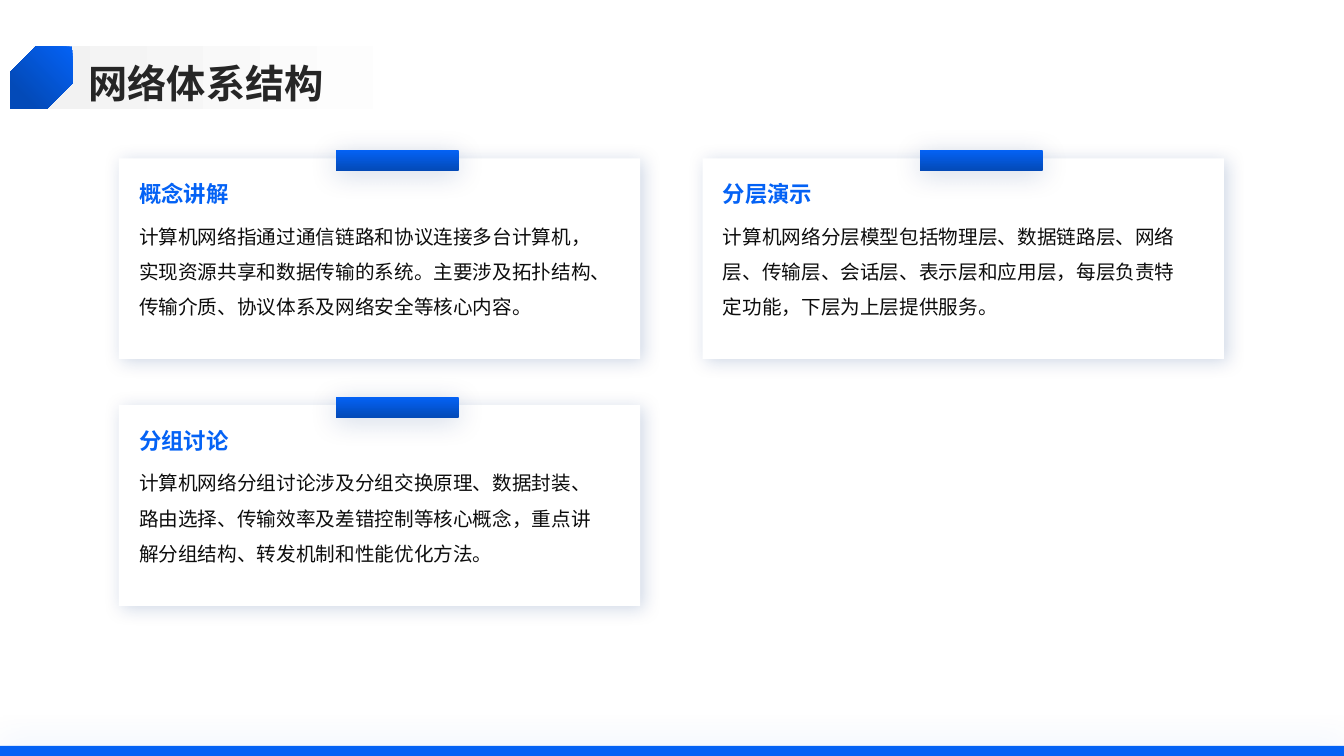
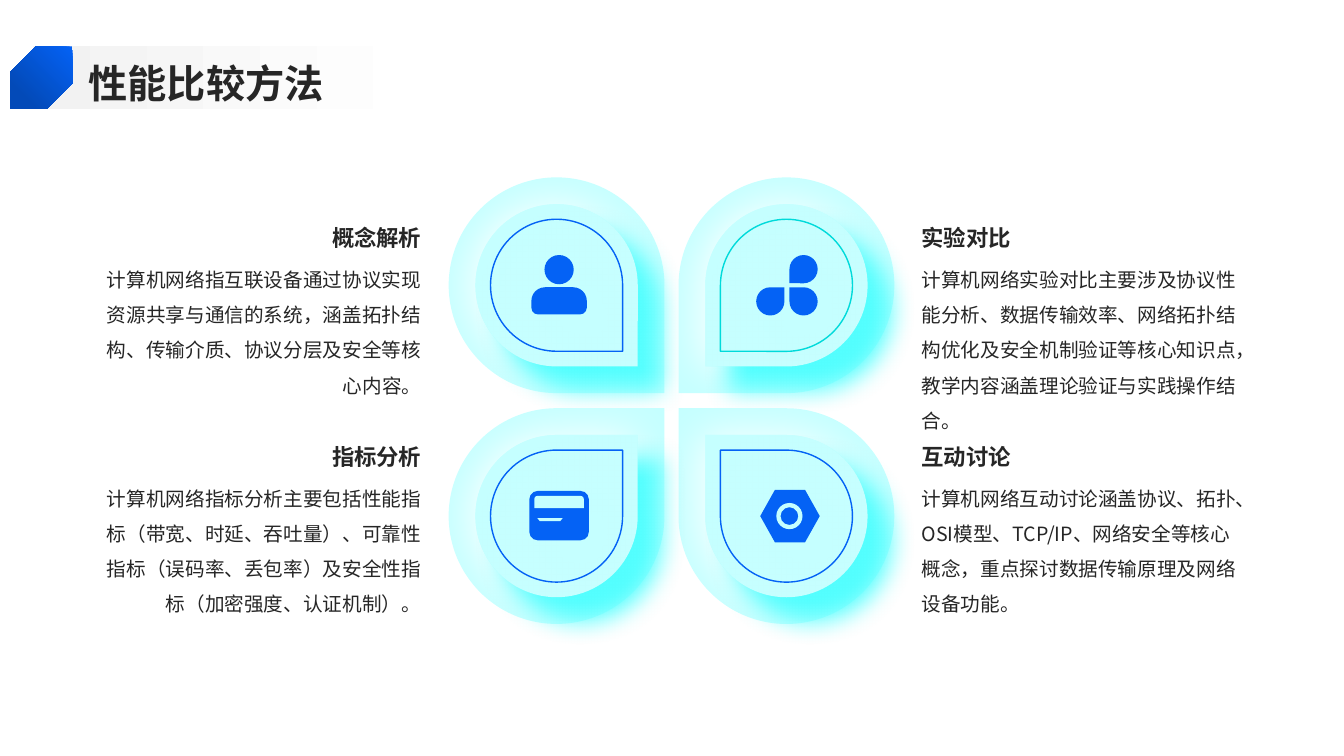
from lxml import etree
from pptx import Presentation
from pptx.dml.color import RGBColor
from pptx.enum.shapes import MSO_SHAPE
from pptx.enum.text import MSO_ANCHOR, MSO_AUTO_SIZE, PP_ALIGN
from pptx.oxml.ns import qn
from pptx.util import Inches, Pt

RECTANGLE = MSO_SHAPE.RECTANGLE
SNIPPED = MSO_SHAPE.SNIP_2_DIAG_RECTANGLE
TEARDROP = MSO_SHAPE.TEAR
OVAL = MSO_SHAPE.OVAL
ROUND_TOP = MSO_SHAPE.ROUND_2_SAME_RECTANGLE
ROUNDED = MSO_SHAPE.ROUNDED_RECTANGLE
TRAPEZOID = MSO_SHAPE.TRAPEZOID
HEXAGON = MSO_SHAPE.HEXAGON
DONUT = MSO_SHAPE.DONUT
LEFT, RIGHT = PP_ALIGN.LEFT, PP_ALIGN.RIGHT
TOP, MIDDLE, BOTTOM = MSO_ANCHOR.TOP, MSO_ANCHOR.MIDDLE, MSO_ANCHOR.BOTTOM

BLUE = RGBColor(0x04, 0x62, 0xF5)
DARK_BLUE = RGBColor(0x03, 0x4A, 0xB8)
NAVY = RGBColor(0x02, 0x31, 0x7B)
WHITE = RGBColor(0xFF, 0xFF, 0xFF)
PALE_GRAY = RGBColor(0xF2, 0xF2, 0xF2)
CYAN = RGBColor(0xC5, 0xFF, 0xFF)
BRIGHT_CYAN = RGBColor(0x50, 0xFF, 0xFF)
TEAL = RGBColor(0x00, 0xDA, 0xDA)
INK = RGBColor(0x26, 0x26, 0x26)
BLACK = RGBColor(0x0D, 0x0D, 0x0D)
FONT = "Noto Sans CJK SC"


def add_shape(slide, geometry, box, fill=None, gradient=None, line=None,
              shadow=None, rotation=0, adjustments=()):
    shape = slide.shapes.add_shape(geometry, *map(Inches, box))
    shape.rotation = rotation
    for index, value in enumerate(adjustments):
        shape.adjustments[index] = value
    if gradient:
        start, end, end_position, angle = gradient
        shape.fill.gradient()
        shape.fill.gradient_angle = angle
        stops = shape.fill.gradient_stops
        for stop, color, position in zip(stops, (start, end), (0, end_position)):
            stop.color.rgb = color
            stop.position = position
    elif fill is not None:
        shape.fill.solid()
        shape.fill.fore_color.rgb = fill
    else:
        shape.fill.background()
    if line is None:
        shape.line.fill.background()
    else:
        shape.line.color.rgb = line
        shape.line.width = Pt(1)
    shape.shadow.inherit = False
    if shadow:
        color, alpha, blur, distance, direction = shadow
        effects = shape.element.spPr.find(qn("a:effectLst"))
        outer = etree.SubElement(
            effects, qn("a:outerShdw"), blurRad=str(Pt(blur)),
            dist=str(Pt(distance)), dir=str(direction * 60000),
            algn="ctr", rotWithShape="0")
        tint = etree.SubElement(outer, qn("a:srgbClr"), val=str(color))
        etree.SubElement(tint, qn("a:alpha"), val=str(alpha * 1000))


def write_text(shape, box, text, size, color, bold=False, name=FONT,
               spacing=1.0, alignment=LEFT, anchor=TOP):
    shape.left, shape.top, shape.width, shape.height = map(Inches, box)
    frame = shape.text_frame
    frame_format = {"word_wrap": True, "auto_size": MSO_AUTO_SIZE.NONE,
                    "vertical_anchor": anchor, "margin_left": 0, "margin_right": 0,
                    "margin_top": 0, "margin_bottom": 0}
    for key, value in frame_format.items():
        setattr(frame, key, value)
    paragraph = frame.paragraphs[0]
    paragraph.alignment = alignment
    paragraph.line_spacing = spacing
    run = paragraph.add_run()
    run.text = text
    for key, value in {"size": Pt(size), "bold": bold, "name": name}.items():
        setattr(run.font, key, value)
    run.font.color.rgb = color
    latin = run.font._element.find(qn("a:latin"))
    latin.addnext(etree.Element(qn("a:ea"), typeface=FONT))


presentation = Presentation()
presentation.slide_width = Inches(13.33)
presentation.slide_height = Inches(7.5)
title_only = presentation.slide_layouts[5]

slides = []
for heading in ("网络体系结构", "性能比较方法"):
    slide = presentation.slides.add_slide(title_only)
    add_shape(slide, RECTANGLE, (0.33, 0.46, 4.92, 0.62),
              gradient=(PALE_GRAY, WHITE, 0.8, 0))
    title = slide.shapes.title
    write_text(title, (0.88, 0.54, 11.88, 0.51), heading, 28, INK, bold=True,
               spacing=1.1, anchor=MIDDLE)
    slide.shapes.element.append(title.element)
    add_shape(slide, SNIPPED, (0.1, 0.46, 0.62, 0.62),
              gradient=(BLUE, DARK_BLUE, 0.8, 225), adjustments=(0.41, 0))
    slides.append(slide)
structure_slide, methods_slide = slides

add_shape(structure_slide, RECTANGLE, (0, 7.4, 13.33, 0.1), fill=BLUE,
          shadow=(BLUE, 20, 25, 0, 0))

cards = [
    (0, 0, "概念讲解", "计算机网络指通过通信链路和协议连接多台计算机，实现资源共享和数据传输的系统。"
     "主要涉及拓扑结构、传输介质、协议体系及网络安全等核心内容。"),
    (0, 1, "分组讨论", "计算机网络分组讨论涉及分组交换原理、数据封装、路由选择、传输效率及差错控制等核心概念，"
     "重点讲解分组结构、转发机制和性能优化方法。"),
    (1, 0, "分层演示", "计算机网络分层模型包括物理层、数据链路层、网络层、传输层、会话层、表示层和应用层，"
     "每层负责特定功能，下层为上层提供服务。"),
]
for column, row, heading, body in cards:
    left, top = 1.18 + column * 5.79, 1.57 + row * 2.45
    add_shape(structure_slide, RECTANGLE, (left, top, 5.17, 1.99), fill=WHITE,
              shadow=(NAVY, 19, 13, 3, 45))
    add_shape(structure_slide, RECTANGLE, (left + 2.15, top - 0.08, 1.22, 0.2),
              gradient=(BLUE, DARK_BLUE, 1, 270), shadow=(NAVY, 19, 20, 3, 90))
    write_text(structure_slide.shapes.add_textbox(0, 0, 0, 0),
               (left + 0.2, top + 0.22, 4.56, 0.36), heading, 16, BLUE, bold=True)
    write_text(structure_slide.shapes.add_textbox(0, 0, 0, 0),
               (left + 0.2, top + 0.54, 4.56, 1.32), body, 14, BLACK, spacing=1.5)

petal_layers = [
    (2.14, CYAN, False, None),
    (1.61, CYAN, False, (WHITE, 100, 32, 3, 180)),
    (1.61, CYAN, False, (BRIGHT_CYAN, 100, 18, 24, 45)),
    (1.31, None, True, (WHITE, 100, 34, 24, 45)),
]
topics = [
    (0, 0, 90, BLUE, "概念解析",
     "计算机网络指互联设备通过协议实现资源共享与通信的系统，涵盖拓扑结构、传输介质、协议分层及安全等核心内容。"),
    (1, 0, 180, TEAL, "实验对比",
     "计算机网络实验对比主要涉及协议性能分析、数据传输效率、网络拓扑结构优化及安全机制验证等核心知识点，"
     "教学内容涵盖理论验证与实践操作结合。"),
    (1, 1, 270, BLUE, "互动讨论",
     "计算机网络互动讨论涵盖协议、拓扑、OSI模型、TCP/IP、网络安全等核心概念，重点探讨数据传输原理及网络设备功能。"),
    (0, 1, 0, BLUE, "指标分析",
     "计算机网络指标分析主要包括性能指标（带宽、时延、吞吐量）、可靠性指标（误码率、丢包率）"
     "及安全性指标（加密强度、认证机制）。"),
]
for column, row, rotation, outline, heading, body in topics:
    center_x, center_y = 5.52 + column * 2.28, 2.83 + row * 2.29
    for size, fill, outlined, shadow in petal_layers:
        add_shape(methods_slide, TEARDROP,
                  (center_x - size / 2, center_y - size / 2, size, size),
                  fill=fill, line=outline if outlined else None,
                  shadow=shadow, rotation=rotation)
    left, top = (1.02, 9.14)[column], 2.18 + row * 2.17
    alignment = (RIGHT, LEFT)[column]
    write_text(methods_slide.shapes.add_textbox(0, 0, 0, 0),
               (left, top + 0.36, 3.16, 1.54), body, 14, INK,
               name=("Arial", FONT)[column], spacing=1.5, alignment=alignment)
    write_text(methods_slide.shapes.add_textbox(0, 0, 0, 0),
               (left, top, 3.16, 0.31), heading, 16, INK, bold=True,
               spacing=1.5, alignment=alignment, anchor=BOTTOM)
    add_shape(methods_slide, TEARDROP,
              (7.5 + column * 0.33, 2.53 + row * 0.32, 0.28, 0.28),
              fill=BLUE, rotation=rotation)

icon_parts = [
    (OVAL, (5.4, 2.53, 0.29, 0.29), BLUE, 0, ()),
    (ROUND_TOP, (5.27, 2.85, 0.55, 0.27), BLUE, 0, (0.5, 0.25)),
    (HEXAGON, (7.54, 4.86, 0.59, 0.52), BLUE, 0, (0.28,)),
    (DONUT, (7.7, 4.99, 0.26, 0.26), CYAN, 0, (0.16,)),
    (ROUNDED, (5.25, 4.87, 0.59, 0.49), BLUE, 0, (0.17,)),
    (ROUND_TOP, (5.3, 4.92, 0.49, 0.12), CYAN, 0, (0.25, 0)),
    (TRAPEZOID, (5.33, 5.14, 0.25, 0.03), CYAN, 180, (0.8,)),
]
for geometry, box, fill, rotation, adjustments in icon_parts:
    add_shape(methods_slide, geometry, box, fill=fill, rotation=rotation,
              adjustments=adjustments)

presentation.save("out.pptx")
